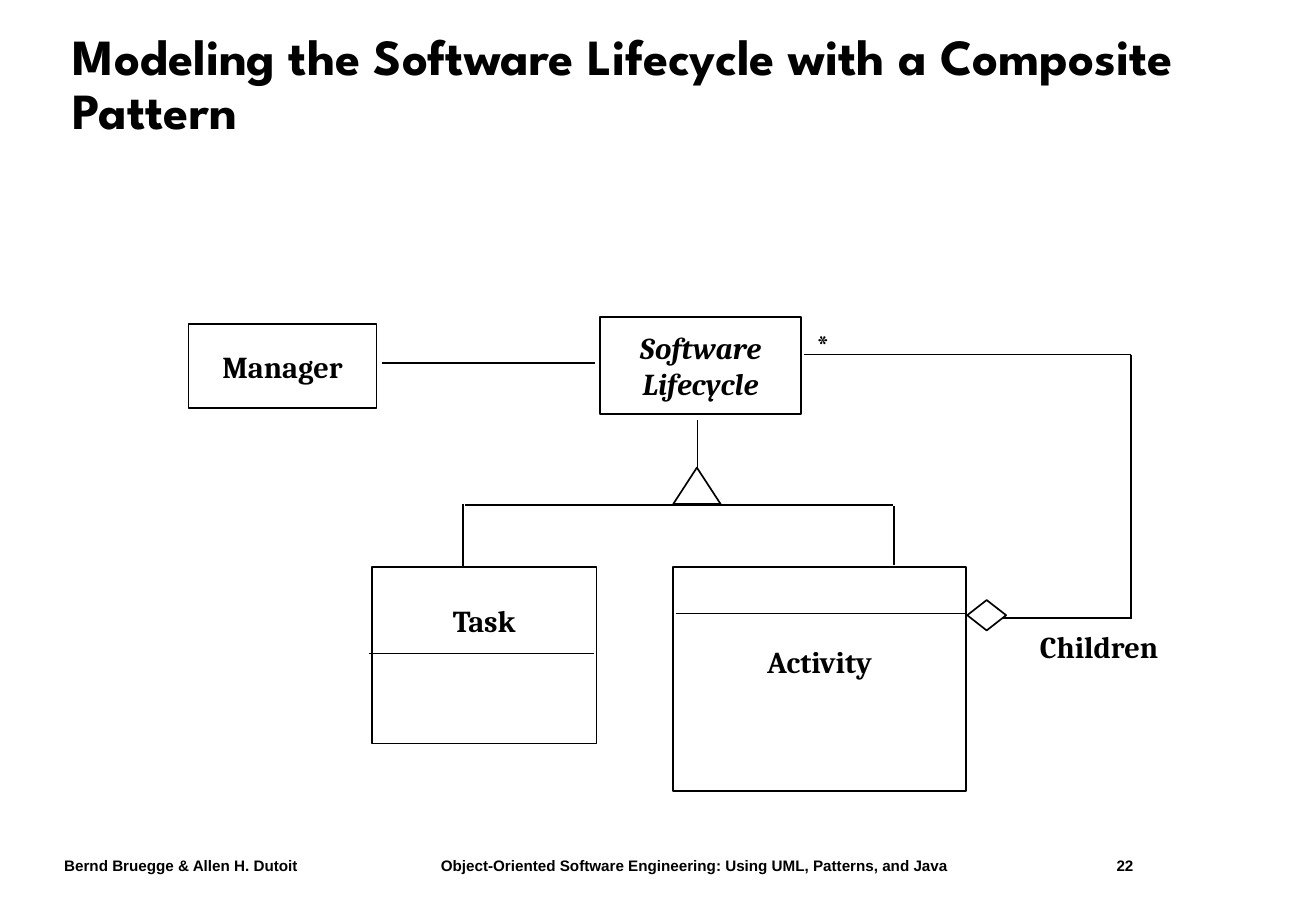
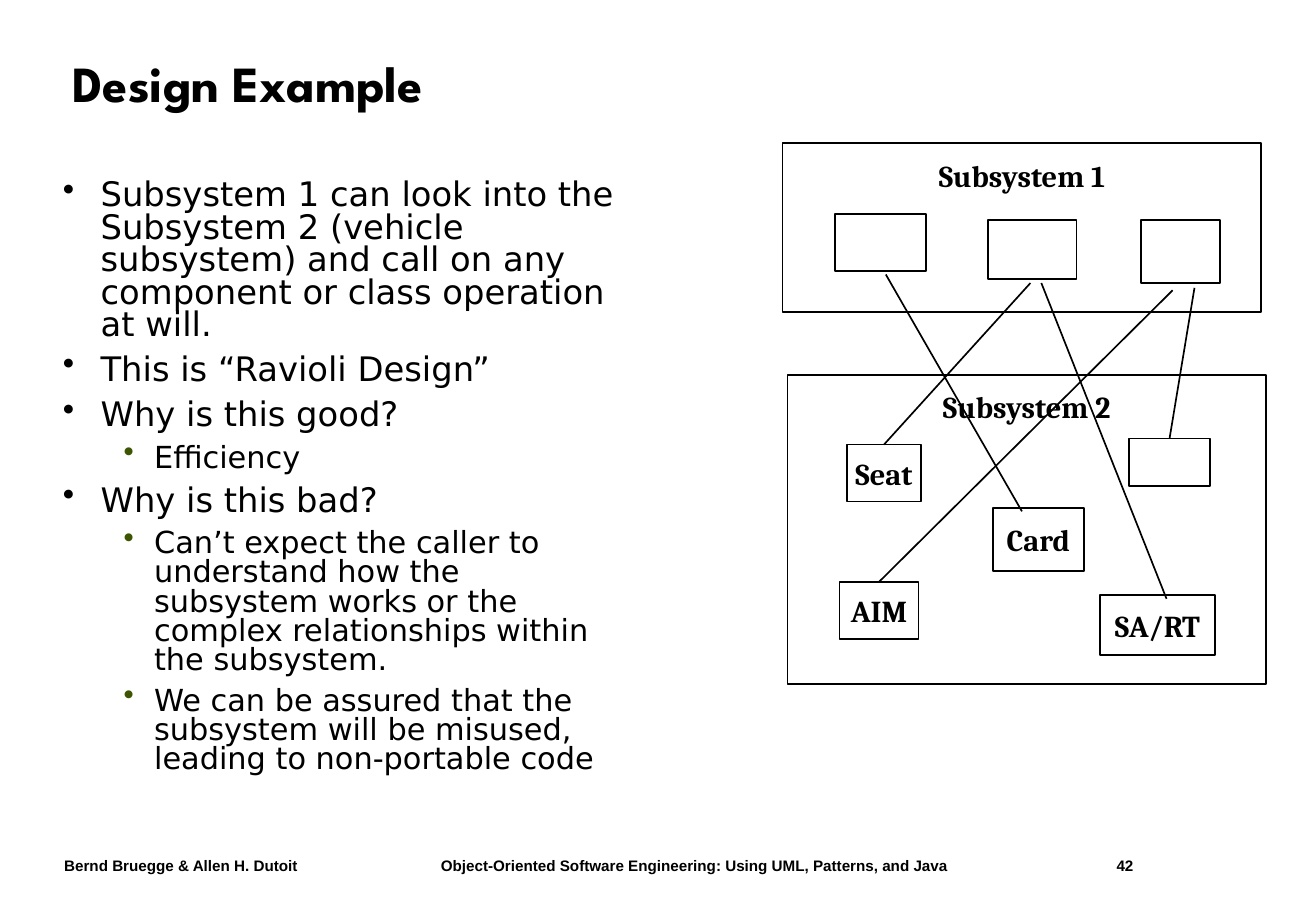
from lxml import etree
from pptx import Presentation
from pptx.dml.color import RGBColor
from pptx.enum.shapes import MSO_CONNECTOR, MSO_SHAPE
from pptx.enum.text import MSO_ANCHOR, PP_ALIGN
from pptx.oxml.ns import qn
from pptx.util import Inches, Pt

RECT = MSO_SHAPE.RECTANGLE
TRIANGLE = MSO_SHAPE.ISOSCELES_TRIANGLE
DIAMOND = MSO_SHAPE.DIAMOND
STRAIGHT = MSO_CONNECTOR.STRAIGHT
MIDDLE, TOP = MSO_ANCHOR.MIDDLE, MSO_ANCHOR.TOP
LEFT, CENTER = PP_ALIGN.LEFT, PP_ALIGN.CENTER
BLACK, WHITE, GREEN = "000000", "FFFFFF", "3D5500"
ROW = 0.29
color = RGBColor.from_string


def box(slide, at, lines=(), kind=None, face="Cambria", size=18, bold=True,
        italic=False, wrap=False, anchor=MIDDLE, below=0):
    place = [Inches(n) for n in at]
    if kind is None:
        shape = slide.shapes.add_textbox(*place)
    else:
        shape = slide.shapes.add_shape(kind, *place)
        shape.shadow.inherit = False
        shape.fill.solid()
        shape.fill.fore_color.rgb = color(WHITE)
        shape.line.color.rgb = color(BLACK)
        shape.line.width = Pt(1)
    frame = shape.text_frame
    frame.word_wrap = wrap
    frame.vertical_anchor = anchor
    frame.margin_bottom = Inches(0.05 + below * ROW)
    for i, text in enumerate(lines):
        para = frame.paragraphs[0] if i == 0 else frame.add_paragraph()
        para.text = text
        para.alignment = LEFT if kind is None else CENTER
        para.font.name = face
        para.font.size = Pt(size)
        para.font.bold = bold
        para.font.italic = italic
        para.font.color.rgb = color(BLACK)
    return shape


def link(slide, *ends):
    line = slide.shapes.add_connector(STRAIGHT, *[Inches(n) for n in ends])
    line.line.color.rgb = color(BLACK)
    line.line.width = Pt(1)
    etree.SubElement(line._element.spPr, qn("a:effectLst"))
    return line


deck = Presentation()
deck.slide_width, deck.slide_height = Inches(10.83), Inches(7.5)

pages = []
for title, number in [
    ("Modeling the Software Lifecycle with a Composite Pattern", "22"),
    ("Design Example", "42"),
]:
    page = deck.slides.add_slide(deck.slide_layouts[6])
    pages.append(page)
    head = box(page, (0.5, 0.24, 9.66, 0.94), [title],
               face="League Spartan", size=30, wrap=True)
    head.text_frame.paragraphs[0].line_spacing = 0.9
    for left, width, text in [
        (0.43, 2.6, "Bernd Bruegge & Allen H. Dutoit"),
        (3.53, 4.9, "Object-Oriented Software Engineering: Using UML, Patterns, and Java"),
        (9.09, 1.27, number),
    ]:
        box(page, (left, 7, width, 0.25), [text], face="Arial", size=9, anchor=TOP)

cycle, design = pages

box(cycle, (4.94, 2.61, 1.65, 0.8), ["Software", "Lifecycle"], RECT, italic=True)
for at, name, below in [
    ((1.55, 2.67, 1.55, 0.69), "Manager", 0),
    ((3.06, 4.67, 1.85, 1.45), "Task", 2),
    ((5.54, 4.67, 2.41, 1.84), "Activity", 1),
]:
    box(cycle, at, [name], RECT, below=below)
box(cycle, (5.54, 3.85, 0.39, 0.3), kind=TRIANGLE)
for ends in [
    (3.14, 2.99, 4.9, 2.99),
    (5.74, 3.46, 5.74, 3.87),
    (3.83, 4.16, 7.35, 4.16),
    (7.36, 4.17, 7.36, 4.65),
    (3.81, 4.15, 3.81, 4.67),
    (8.25, 5.09, 9.3, 5.09),
    (9.31, 5.1, 9.31, 2.92),
    (9.31, 2.92, 6.62, 2.92),
    (5.56, 5.05, 7.95, 5.05),
    (3.04, 5.38, 4.89, 5.38),
]:
    link(cycle, *ends)
box(cycle, (7.96, 4.94, 0.32, 0.25), kind=DIAMOND)
box(cycle, (8.46, 5.12, 1.23, 0.4), ["Children"], anchor=TOP)
box(cycle, (6.62, 2.64, 0.31, 0.4), ["*"], anchor=TOP)

points = [
    (0, "Subsystem 1 can look into the Subsystem 2 (vehicle subsystem) and call on any component or class operation at will."),
    (0, "This is “Ravioli Design”"),
    (0, "Why is this good?"),
    (1, "Efficiency"),
    (0, "Why is this bad?"),
    (1, "Can’t expect the caller to understand how the subsystem works or the complex relationships within the subsystem."),
    (1, "We can be assured that the subsystem will be misused, leading to non-portable code"),
]
styles = [(20, 7.5, 0.31, 0.31, BLACK), (18, 6.8, 0.75, 0.25, GREEN)]
body = box(design, (0.42, 1.44, 4.8, 5.02), [text for _, text in points],
           face="DejaVu Sans", bold=False, wrap=True, anchor=TOP)
for para, (level, _) in zip(body.text_frame.paragraphs, points):
    size, before, margin, hang, tint = styles[level]
    para.level = level
    para.font.size = Pt(size)
    para.line_spacing = 0.8
    para.space_before = Pt(before)
    props = para._p.get_or_add_pPr()
    props.set("marL", str(Inches(margin)))
    props.set("indent", str(-Inches(hang)))
    shade = etree.SubElement(props, qn("a:buClr"))
    etree.SubElement(shade, qn("a:srgbClr"), val=tint)
    etree.SubElement(props, qn("a:buChar"), char="•")

box(design, (6.48, 3.09, 3.94, 2.54), ["Subsystem 2"], RECT, below=7)
box(design, (6.44, 1.18, 3.94, 1.39), ["Subsystem 1"], RECT, below=3)
for at in [
    (6.87, 1.76, 0.75, 0.47),
    (8.13, 1.81, 0.73, 0.49),
    (9.39, 1.81, 0.65, 0.52),
]:
    box(design, at, kind=RECT)
for at, name, ends, joined in [
    ((6.91, 4.79, 0.65, 0.47), ["AIM"], (9.65, 2.39, 7.22, 4.78), True),
    ((8.17, 4.18, 0.75, 0.52), ["Card"], (7.29, 2.26, 8.41, 4.21), False),
    ((9.29, 3.61, 0.67, 0.39), [], (9.83, 2.37, 9.65, 3.61), True),
    ((9.05, 4.9, 0.95, 0.49), ["SA/RT"], (8.57, 2.33, 9.6, 4.93), False),
    ((6.97, 3.66, 0.61, 0.47), ["Seat"], (8.48, 2.33, 7.26, 3.67), True),
]:
    part = box(design, at, name, RECT)
    call = link(design, *ends)
    if joined:
        call.end_connect(part, 0)

deck.save("out.pptx")
